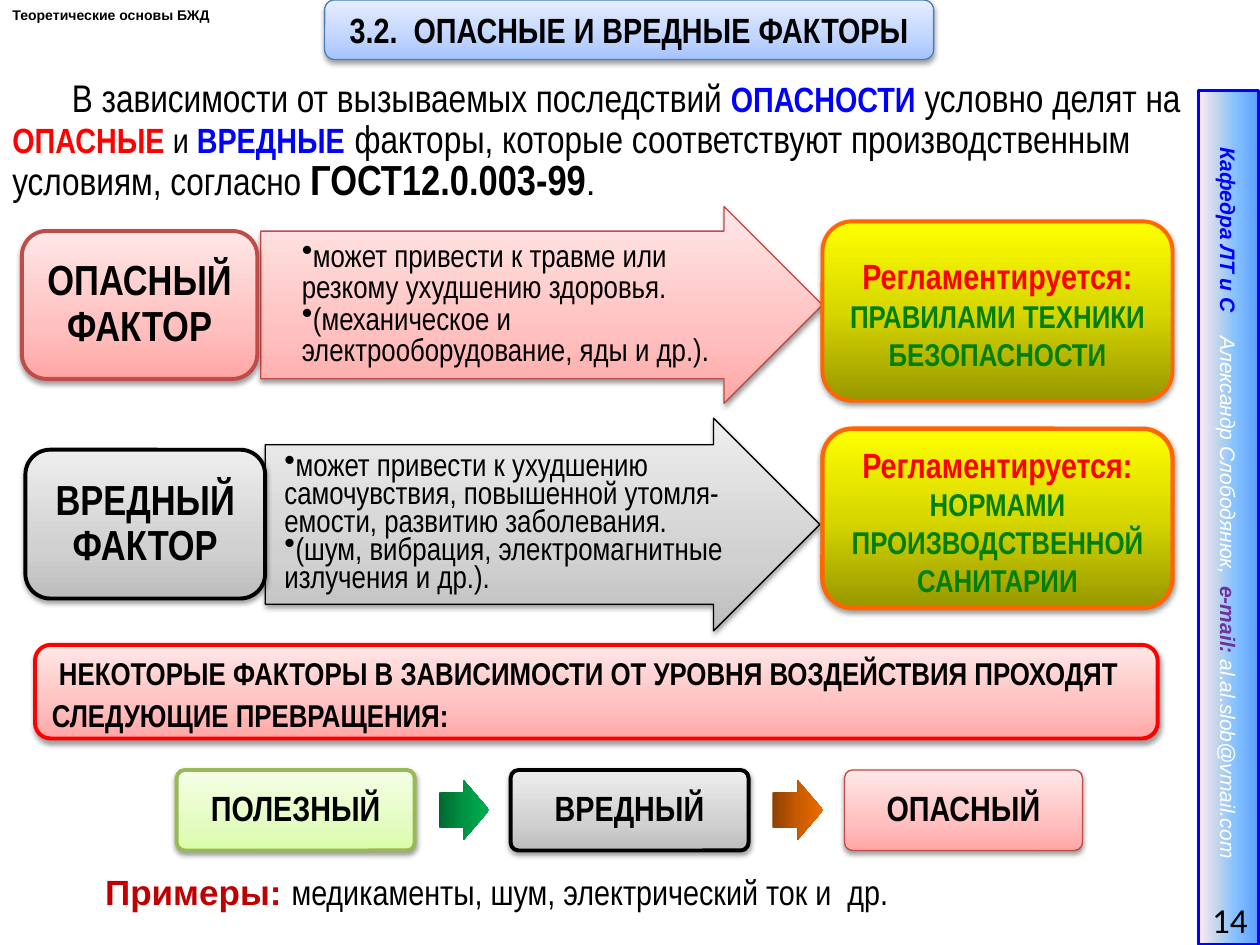
from dataclasses import dataclass

from lxml.etree import SubElement
from pptx import Presentation
from pptx.dml.color import RGBColor
from pptx.enum.shapes import MSO_SHAPE
from pptx.enum.text import MSO_ANCHOR, PP_ALIGN
from pptx.oxml.ns import qn
from pptx.util import Pt

BLACK = RGBColor(0, 0, 0)
WHITE = RGBColor(255, 255, 255)
BLUE = RGBColor(0, 0, 255)
RED = RGBColor(255, 0, 0)
DARK_RED = RGBColor(0xC0, 0, 0)
GREEN = RGBColor(0, 0x80, 0)
PURPLE = RGBColor(0x70, 0x30, 0xA0)
ORANGE = RGBColor(0xFF, 0x66, 0)
ROSE_LINE = RGBColor(0xBF, 0x4C, 0x48)
LIME_LINE = RGBColor(0x98, 0xB9, 0x55)
TITLE_LINE = RGBColor(0x4B, 0x7E, 0xBC)
NARROW = "Arial Narrow"


@dataclass(frozen=True)
class Gradient:
    stops: tuple[tuple[int, str], ...]
    angle: int = 90


@dataclass(frozen=True)
class Run:
    text: str
    size: float = 20
    color: RGBColor = BLACK
    bold: bool = False
    italic: bool = False
    font: str = NARROW


@dataclass(frozen=True)
class Box:
    left: float
    top: float
    width: float
    height: float


@dataclass(frozen=True)
class Factor:
    name: str
    card: Box
    arrow: Box
    effects: tuple[str, str]
    text_left: float
    spacing: float
    gradient: Gradient
    line: RGBColor
    rule: str
    rule_top: float
    rule_line: float


@dataclass(frozen=True)
class Stage:
    name: str
    gradient: Gradient
    line: RGBColor
    line_width: float


ROSE = Gradient(((0, "FFA6A5"), (35, "FFC0BF"), (100, "FFE7E7")))
GRAY = Gradient(((0, "BDBDBD"), (35, "D1D1D1"), (100, "EEEEEE")))
LIME = Gradient(((0, "DAFDA7"), (35, "E4FCC2"), (100, "F5FFE7")))
SKY = Gradient(((0, "A4C4FF"), (35, "BFD4FF"), (100, "E6EEFF")))
YELLOW = Gradient(((0, "979700"), (50, "D7D700"), (100, "FFFF00")))
GREEN_ARROW = Gradient(((0, "00682F"), (50, "009443"), (100, "00B050")), 0)
ORANGE_ARROW = Gradient(((0, "8D4000"), (50, "C85B00"), (100, "EE6B00")), 0)
SIDEBAR = Gradient(((0, "5E9EFF"), (40, "85C2FF"), (70, "C4D6EB"), (100, "FFEBFA")), 270)

FACTORS = (
    Factor("ОПАСНЫЙ ФАКТОР", Box(12.5, 132, 134.5, 84.5), Box(149, 118, 321, 112.5),
           ("может привести к травме или резкому ухудшению здоровья.",
            "(механическое и электрооборудование, яды и др.)."),
           23.5, 18, ROSE, ROSE_LINE, "ПРАВИЛАМИ ТЕХНИКИ БЕЗОПАСНОСТИ", 126.5, 2.25),
    Factor("ВРЕДНЫЙ ФАКТОР", Box(14.5, 257, 137, 85), Box(151.5, 239, 317, 121.5),
           ("может привести к ухудшению самочувствия, повышенной утомля-емости, развитию заболевания.",
            "(шум, вибрация, электромагнитные излучения и др.)."),
           11, 16, GRAY, BLACK, "НОРМАМИ ПРОИЗВОДСТВЕННОЙ САНИТАРИИ", 245, 2.5),
)
STAGES = (
    Stage("ПОЛЕЗНЫЙ", LIME, LIME_LINE, 2.25),
    Stage("ВРЕДНЫЙ", GRAY, BLACK, 2.25),
    Stage("ОПАСНЫЙ", ROSE, ROSE_LINE, 0.75),
)


def write_text(shape, paragraphs: list[list[Run]], *, align=PP_ALIGN.LEFT, anchor=MSO_ANCHOR.MIDDLE,
               spacing: float | None = None, insets=(7.2, 3.6, 7.2, 3.6), indent: float = 0,
               bullet: str = "", tab: float = 0, wrap: bool = True) -> None:
    frame = shape.text_frame
    frame.word_wrap = wrap
    frame.vertical_anchor = anchor
    frame.margin_left, frame.margin_top, frame.margin_right, frame.margin_bottom = map(Pt, insets)
    for index, runs in enumerate(paragraphs):
        paragraph = frame.add_paragraph() if index else frame.paragraphs[0]
        paragraph.alignment = align
        properties = paragraph._p.get_or_add_pPr()
        properties.set("marL", "0")
        properties.set("indent", str(Pt(indent)))
        if bullet:
            SubElement(properties, qn("a:buChar"), char=bullet)
        if tab:
            tabs = SubElement(properties, qn("a:tabLst"))
            SubElement(tabs, qn("a:tab"), pos=str(Pt(tab)), algn="l")
        if spacing:
            paragraph.line_spacing = spacing if spacing < 5 else Pt(spacing)
        for item in runs:
            run = paragraph.add_run()
            run.text = item.text
            run.font.name, run.font.size = item.font, Pt(item.size)
            run.font.bold, run.font.italic = item.bold, item.italic
            run.font.color.rgb = item.color


def add_text(slide, box: Box, runs: list[Run], **text_format) -> None:
    shape = slide.shapes.add_textbox(Pt(box.left), Pt(box.top), Pt(box.width), Pt(box.height))
    write_text(shape, [runs], **text_format)


def add_panel(slide, kind: MSO_SHAPE, box: Box, gradient: Gradient, line: RGBColor | None = None,
              line_width: float = 0.75, adjustments=(), shadow: bool = True):
    shape = slide.shapes.add_shape(kind, Pt(box.left), Pt(box.top), Pt(box.width), Pt(box.height))
    for index, value in enumerate(adjustments):
        shape.adjustments[index] = value
    shape.fill.gradient()
    shape.fill.gradient_angle = gradient.angle
    stop_list = shape._element.spPr.find(f".//{qn('a:gsLst')}")
    for stop in list(stop_list):
        stop_list.remove(stop)
    for position, color in gradient.stops:
        stop = SubElement(stop_list, qn("a:gs"), pos=str(position * 1000))
        SubElement(stop, qn("a:srgbClr"), val=color)
    if line is None:
        shape.line.fill.background()
    else:
        shape.line.color.rgb = line
        shape.line.width = Pt(line_width)
    shape.shadow.inherit = False
    if shadow:
        effects = shape._element.spPr.find(qn("a:effectLst"))
        outer = SubElement(effects, qn("a:outerShdw"), blurRad=str(Pt(3.1)), dist=str(Pt(1.6)),
                           dir="5400000", rotWithShape="0")
        color = SubElement(outer, qn("a:srgbClr"), val="000000")
        SubElement(color, qn("a:alpha"), val="38000")
    return shape


def add_factor(slide, factor: Factor) -> None:
    arrow = add_panel(slide, MSO_SHAPE.RIGHT_ARROW, factor.arrow, factor.gradient, factor.line,
                      adjustments=(0.75, 0.5))
    write_text(arrow, [[Run(effect, 18)] for effect in factor.effects], spacing=factor.spacing,
               insets=(factor.text_left, 0.7, 0.7, 0.7), bullet="•")
    card = add_panel(slide, MSO_SHAPE.ROUNDED_RECTANGLE, factor.card, factor.gradient, factor.line, 2.25)
    write_text(card, [[Run(factor.name, 24, bold=True)]], align=PP_ALIGN.CENTER, spacing=0.9)
    rule = add_panel(slide, MSO_SHAPE.ROUNDED_RECTANGLE, Box(470, factor.rule_top, 200, 102.5),
                     YELLOW, ORANGE, factor.rule_line)
    write_text(rule, [[Run("Регламентируется:", 20, RED, True)], [Run(factor.rule, 18, GREEN, True)]],
               align=PP_ALIGN.CENTER, insets=(2.9, 2.9, 2.9, 0))


def add_stages(slide) -> None:
    left, pitch, width = 101, 190.8, 136
    for index, stage in enumerate(STAGES):
        panel = add_panel(slide, MSO_SHAPE.ROUNDED_RECTANGLE, Box(left + index * pitch, 440, width, 46),
                          stage.gradient, stage.line, stage.line_width, (0.1,))
        write_text(panel, [[Run(stage.name, bold=True)]], align=PP_ALIGN.CENTER, spacing=0.9,
                   insets=(5.8, 5.8, 5.8, 5.8))
    for index, gradient in enumerate((GREEN_ARROW, ORANGE_ARROW)):
        add_panel(slide, MSO_SHAPE.RIGHT_ARROW, Box(left + width + 13.6 + index * pitch, 446, 29, 33.8),
                  gradient, adjustments=(0.6, 0.5), shadow=False)


def main() -> None:
    presentation = Presentation()
    presentation.slide_width, presentation.slide_height = Pt(720), Pt(540)
    slide = presentation.slides.add_slide(presentation.slide_layouts[6])

    add_text(slide, Box(0, 41, 686, 80), [
        Run("В зависимости от вызываемых последствий ", 22), Run("ОПАСНОСТИ", 20, BLUE, True),
        Run(" условно делят на ", 22), Run("ОПАСНЫЕ ", 20, RED, True), Run("и "),
        Run("ВРЕДНЫЕ", 20, BLUE, True), Run(" ", 24),
        Run("факторы, которые соответствуют производственным условиям, согласно ", 22),
        Run("ГОСТ12.0.003-99", 24, bold=True), Run(".", font="Arial"),
    ], anchor=MSO_ANCHOR.TOP, spacing=24, indent=34)
    add_text(slide, Box(53, 490, 485, 33), [
        Run("Примеры: ", 20, DARK_RED, True, font="Arial"),
        Run("медикаменты, шум, электрический ток и  др."),
    ], anchor=MSO_ANCHOR.TOP, spacing=28)
    add_text(slide, Box(0, 0, 129, 17), [Run("Теоретические основы БЖД", 8, bold=True, font="Arial")],
             anchor=MSO_ANCHOR.TOP, wrap=False)

    title = add_panel(slide, MSO_SHAPE.ROUNDED_RECTANGLE, Box(185.5, 0, 348, 34), SKY, TITLE_LINE)
    write_text(title, [[Run("3.2.  ОПАСНЫЕ И ВРЕДНЫЕ ФАКТОРЫ", bold=True)]],
               align=PP_ALIGN.CENTER, spacing=24)
    for factor in FACTORS:
        add_factor(slide, factor)
    add_stages(slide)

    banner = add_panel(slide, MSO_SHAPE.ROUNDED_RECTANGLE, Box(20, 368.5, 641.5, 53.5), ROSE, RED, 2.25)
    write_text(banner, [[Run("НЕКОТОРЫЕ ФАКТОРЫ В ЗАВИСИМОСТИ ОТ УРОВНЯ ВОЗДЕЙСТВИЯ ПРОХОДЯТ "
                             "СЛЕДУЮЩИЕ ПРЕВРАЩЕНИЯ:", 18, bold=True)]], spacing=24, indent=4)

    sidebar = add_panel(slide, MSO_SHAPE.RECTANGLE, Box(458, 278.5, 488, 34.5), SIDEBAR, BLUE, 2, shadow=False)
    sidebar.rotation = 90
    write_text(sidebar, [[
        Run("Кафедра ЛТ и С\t", 12, BLUE, True, True, "Arial"),
        Run("Александр Слободянюк,  ", 12, WHITE, False, True, "Arial"),
        Run("e-mail: ", 12, PURPLE, True, True, "Arial"),
        Run("al.al.slob@vmail.com", 12, WHITE, False, True, "Arial"),
    ]], insets=(32.5, 3.6, 7.2, 3.6), tab=124.5)
    add_text(slide, Box(664, 511, 56, 29), [Run("14", font="Calibri")], align=PP_ALIGN.RIGHT)

    presentation.save("out.pptx")


if __name__ == "__main__":
    main()
